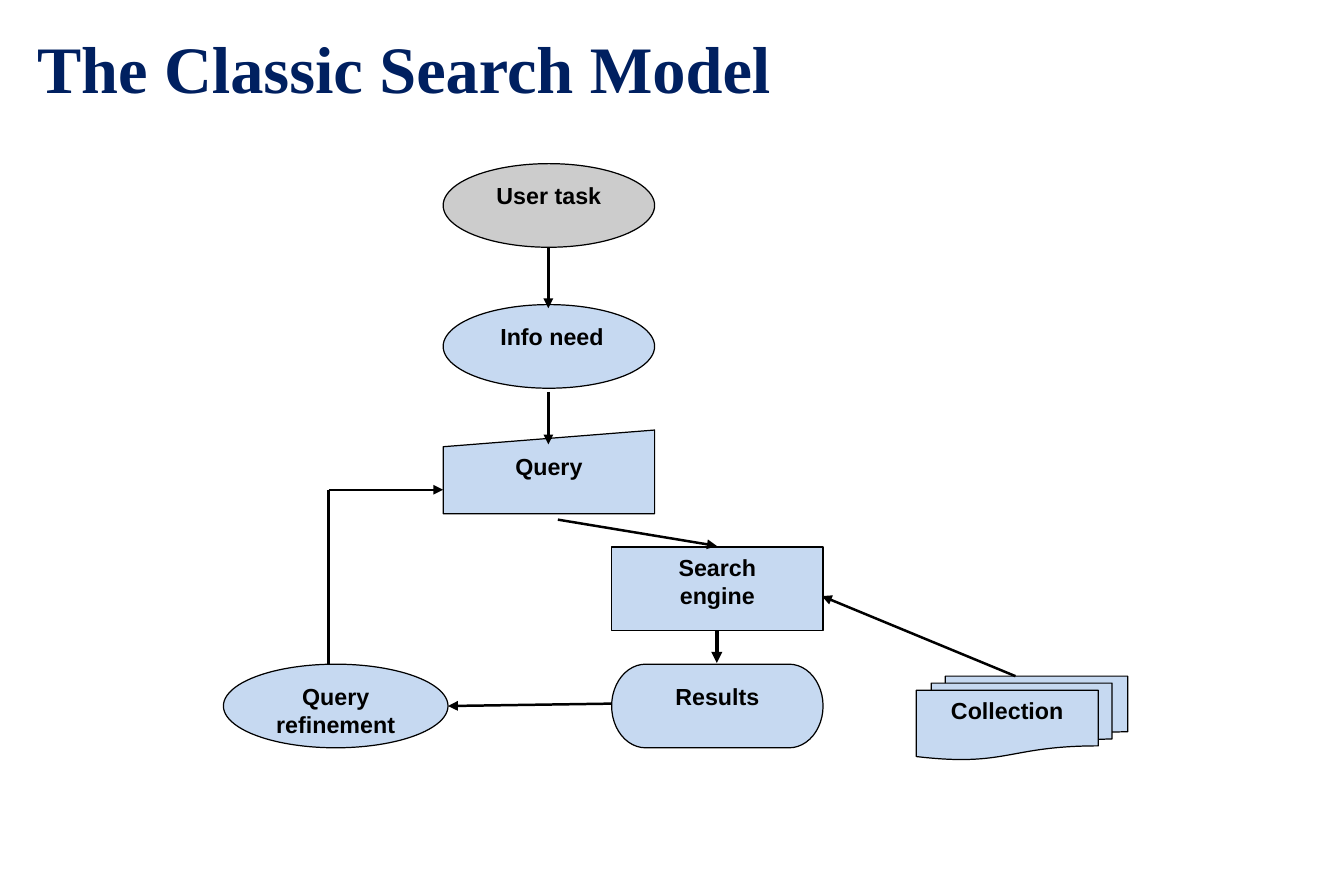
from pptx import Presentation
from pptx.dml.color import RGBColor
from pptx.enum.shapes import MSO_CONNECTOR, MSO_SHAPE as SHAPE
from pptx.enum.text import MSO_ANCHOR as ANCHOR, PP_ALIGN as ALIGN
from pptx.oxml.ns import qn
from pptx.util import Inches, Pt
from lxml.etree import SubElement

COLORS = {"title": "002060", "ink": "000000", "step": "C6D9F1", "task": "CCCCCC"}
TITLE_FONT = {"name": "Times New Roman", "size": Pt(40), "bold": True}
LABEL_FONT = {"name": "Arial", "size": Pt(14), "bold": True}
NODE_WIDTH, NODE_HEIGHT = 1.77, 0.7


def color(name):
    """Return the named colour."""
    return RGBColor.from_string(COLORS[name])


class FlowSlide:
    """Draws the parts of a flow chart on one slide."""

    def __init__(self, presentation):
        """Add a title-only slide."""
        self.slide = presentation.slides.add_slide(presentation.slide_layouts[5])

    def set_text(self, frame, text, font_values, ink, align, anchor):
        """Fill a text frame, one paragraph for each line."""
        frame.text = text
        frame.word_wrap = True
        frame.vertical_anchor = anchor
        for paragraph in frame.paragraphs:
            paragraph.alignment = align
            font = paragraph.runs[0].font
            font.color.rgb = color(ink)
            for key, value in font_values.items():
                setattr(font, key, value)

    def title(self, text, left, top, width, height):
        """Place and format the title placeholder."""
        shape = self.slide.shapes.title
        places = {"left": left, "top": top, "width": width, "height": height}
        for key, value in places.items():
            setattr(shape, key, Inches(value))
        self.set_text(shape.text_frame, text, TITLE_FONT, "title", ALIGN.LEFT, ANCHOR.MIDDLE)

    def node(self, kind, text, left, top, width=NODE_WIDTH, fill="step"):
        """Add a labelled flow chart shape."""
        shape = self.slide.shapes.add_shape(
            kind, Inches(left), Inches(top), Inches(width), Inches(NODE_HEIGHT))
        shape.shadow.inherit = False
        shape.fill.solid()
        shape.fill.fore_color.rgb = color(fill)
        shape.line.color.rgb = color("ink")
        shape.line.width = Pt(0.75)
        self.set_text(shape.text_frame, text, LABEL_FONT, "ink", ALIGN.CENTER, ANCHOR.TOP)

    def line(self, start, end, weight=1.5, arrow=True):
        """Add a straight line, with an arrowhead at its end if asked."""
        points = [Inches(value) for value in (*start, *end)]
        connector = self.slide.shapes.add_connector(MSO_CONNECTOR.STRAIGHT, *points)
        connector.line.color.rgb = color("ink")
        connector.line.width = Pt(weight)
        properties = connector.element.spPr
        if arrow:
            SubElement(properties.find(qn("a:ln")), qn("a:tailEnd"), type="triangle")
        SubElement(properties, qn("a:effectLst"))


presentation = Presentation()
presentation.slide_width = Inches(11.25)
presentation.slide_height = Inches(7.5)
flow = FlowSlide(presentation)
flow.title("The Classic Search Model", 0.21, 0.17, 8.98, 0.78)

# Columns and rows shared by the nodes and lines
query_left, engine_left = 3.71, 5.12
query_middle, engine_middle, refinement_middle = 4.59, 6, 2.75
task_top, need_top, query_top, engine_top, results_top = 1.37, 2.55, 3.6, 4.58, 5.56
collection_top, loop_y = 5.66, 4.1

flow.node(SHAPE.FLOWCHART_MULTIDOCUMENT, "Collection", 7.67, collection_top)
flow.node(SHAPE.OVAL, "User task", query_left, task_top, fill="task")
flow.node(SHAPE.OVAL, " Info need", query_left, need_top)
flow.node(SHAPE.FLOWCHART_MANUAL_INPUT, "Query", query_left, query_top)
flow.node(SHAPE.FLOWCHART_TERMINATOR, "Results", engine_left, results_top)
flow.node(SHAPE.FLOWCHART_PROCESS, "Search\nengine", engine_left, engine_top)
flow.node(SHAPE.OVAL, "Query\nrefinement", 1.87, results_top, width=1.88)

flow.line((query_middle, task_top + NODE_HEIGHT), (query_middle, 2.58))
flow.line((query_middle, 3.28), (query_middle, 3.72))
flow.line((4.67, 4.35), (engine_middle, 4.57))
flow.line((8.5, collection_top), (6.88, 4.99))
flow.line((engine_left, 5.89), (3.75, 5.91))
flow.line((refinement_middle, results_top), (refinement_middle, loop_y), arrow=False)
flow.line((refinement_middle, loop_y), (query_left, loop_y))
flow.line((engine_middle, engine_top + NODE_HEIGHT), (engine_middle, 5.55), weight=2.25)

presentation.save("out.pptx")
